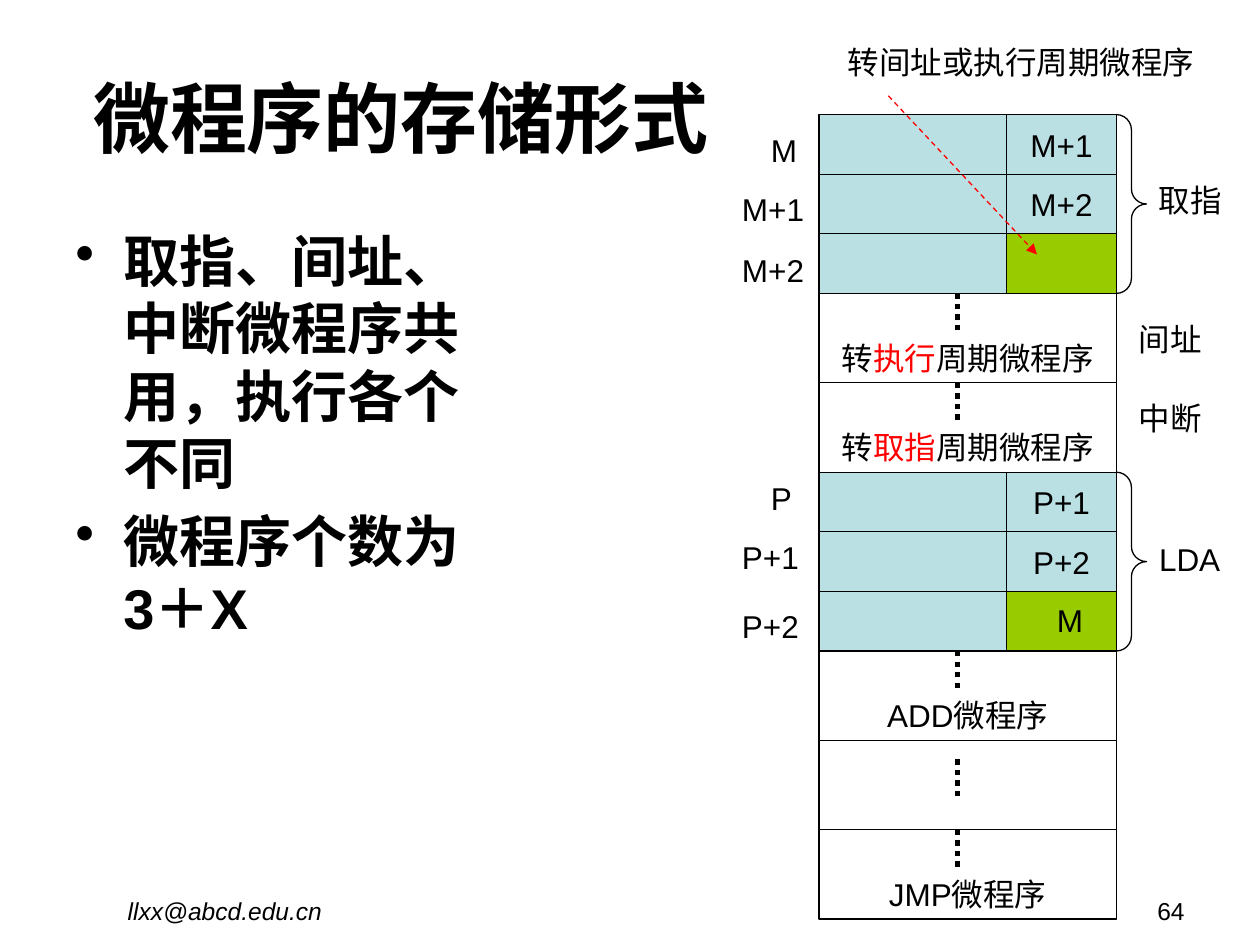
from lxml import etree
from pptx import Presentation
from pptx.dml.color import RGBColor
from pptx.enum.dml import MSO_LINE
from pptx.enum.shapes import MSO_CONNECTOR, MSO_SHAPE
from pptx.enum.text import MSO_ANCHOR, PP_ALIGN
from pptx.oxml.ns import qn
from pptx.util import Inches, Pt

COLORS = {"black": "000000", "red": "FF0000", "blue": "BBE0E3", "green": "99CC00"}


def rgb(name):
    return RGBColor.from_string(COLORS[name])


class SlideBuilder:
    font = "Arial"
    size = 18
    line_width = Pt(0.75)

    def __init__(self, slide):
        self.slide = slide

    def set_text(self, sp, paragraphs, size=None, align=PP_ALIGN.LEFT,
                 anchor=MSO_ANCHOR.TOP, wrap=True, bold=False, italic=False):
        """Each paragraph is a list of (text, color) runs."""
        tf = sp.text_frame
        tf.word_wrap = wrap
        tf.vertical_anchor = anchor
        for i, runs in enumerate(paragraphs):
            p = tf.add_paragraph() if i else tf.paragraphs[0]
            p.alignment = align
            for text, color in runs:
                r = p.add_run()
                r.text = text
                r.font.name = self.font
                r.font.size = Pt(size or self.size)
                r.font.bold = bold
                r.font.italic = italic
                r.font.color.rgb = rgb(color)
        return tf

    def text(self, x, y, w, h, *lines, **style):
        sp = self.slide.shapes.add_textbox(Inches(x), Inches(y), Inches(w), Inches(h))
        return self.set_text(sp, [[(line, "black")] for line in lines], **style)

    def label(self, x, y, text, w):
        self.text(x, y, w, 0.4, text, wrap=False)

    def bullets(self, x, y, w, h, *lines, **style):
        tf = self.text(x, y, w, h, *lines, **style)
        for p in tf.paragraphs:
            p.space_before = Pt(6)
            pPr = p._p.get_or_add_pPr()
            pPr.set("marL", str(Inches(0.38)))
            pPr.set("indent", str(-Inches(0.38)))
            etree.SubElement(pPr, qn("a:buChar")).set("char", "•")

    def shape(self, kind, x, y, w, h, fill=None):
        sp = self.slide.shapes.add_shape(kind, Inches(x), Inches(y), Inches(w), Inches(h))
        sp.shadow.inherit = False
        if fill:
            sp.fill.solid()
            sp.fill.fore_color.rgb = rgb(fill)
        else:
            sp.fill.background()
        sp.line.color.rgb = rgb("black")
        sp.line.width = self.line_width
        return sp

    def cell(self, x, y, w, h, runs=(), fill=None, anchor=MSO_ANCHOR.MIDDLE):
        sp = self.shape(MSO_SHAPE.RECTANGLE, x, y, w, h, fill)
        if runs:
            self.set_text(sp, [runs], align=PP_ALIGN.CENTER, anchor=anchor, wrap=False)

    def brace(self, x, y, w, h):
        sp = self.shape(MSO_SHAPE.RIGHT_BRACE, x, y, w, h)
        sp.adjustments[0] = sp.adjustments[1] = 0.5

    def line(self, x1, y1, x2, y2, color, width, dash, arrow=False):
        cn = self.slide.shapes.add_connector(
            MSO_CONNECTOR.STRAIGHT, Inches(x1), Inches(y1), Inches(x2), Inches(y2))
        cn.line.color.rgb = rgb(color)
        cn.line.width = width
        cn.line.dash_style = dash
        spPr = cn._element.spPr
        if arrow:
            etree.SubElement(spPr.find(qn("a:ln")), qn("a:tailEnd")).set("type", "triangle")
        etree.SubElement(spPr, qn("a:effectLst"))


# Memory map geometry
LEFT, TOP, ROW = 6.5, 0.91, 0.473
OP_W, NEXT_W = 1.49, 0.87
MAP_W = OP_W + NEXT_W
TALL = 1.5 * ROW
RIGHT = LEFT + MAP_W


def routine(s, y, next_addresses):
    """Three microinstructions with their next addresses, closed by a brace."""
    for i, address in enumerate(next_addresses):
        row_y = y + i * ROW
        s.cell(LEFT, row_y, OP_W, ROW, fill="blue")
        s.cell(LEFT + OP_W, row_y, NEXT_W, ROW,
               [(address, "black")] if address else (),
               "blue" if address else "green")
    s.brace(RIGHT, y, 0.24, 3 * ROW)


def block(s, y, runs, dots_offset=0.0):
    """A routine abbreviated to dots and a caption."""
    s.cell(LEFT, y, MAP_W, TALL, runs, anchor=MSO_ANCHOR.BOTTOM)
    dots_y = y + dots_offset
    s.line(7.6, dots_y, 7.6, dots_y + 0.32, "black", Pt(3), MSO_LINE.ROUND_DOT)


def main():
    prs = Presentation()
    prs.slide_width, prs.slide_height = Inches(10), Inches(7.5)
    s = SlideBuilder(prs.slides.add_slide(prs.slide_layouts[6]))

    # Title and bullets
    s.text(0.5, 0.3, 5.37, 1.25, "微程序的存储形式", size=44, bold=True,
           align=PP_ALIGN.CENTER, anchor=MSO_ANCHOR.MIDDLE)
    s.bullets(0.5, 1.75, 3.32, 4.95, "取指、间址、中断微程序共用，执行各个不同",
              "微程序个数为3＋X", size=32, bold=True)

    # Memory map, from top to bottom
    y = TOP
    routine(s, y, ["M+1", "M+2", None])
    y += 3 * ROW
    for target in ("执行", "取指"):
        block(s, y, [("转", "black"), (target, "red"), ("周期微程序", "black")])
        y += TALL
    routine(s, y, ["P+1", "P+2", None])
    y += 3 * ROW
    for caption, offset in (("ADD微程序", 0), (None, 0.15), ("JMP微程序", 0)):
        block(s, y, [(caption, "black")] if caption else (), offset)
        y += TALL

    # Addresses and routine names
    for x, label_y, text, w in (
            (6.02, 0.99, "M", 0.41), (5.79, 1.46, "M+1", 0.69), (5.79, 1.94, "M+2", 0.69),
            (6.02, 3.75, "P", 0.37), (5.79, 4.22, "P+1", 0.65), (5.79, 4.77, "P+2", 0.65),
            (8.29, 4.72, "M", 0.41), (9.1, 1.39, "取指", 0.7), (8.94, 2.49, "间址", 0.7),
            (8.94, 3.12, "中断", 0.7), (9.1, 4.24, "LDA", 0.69)):
        s.label(x, label_y, text, w)

    # Note on the last fetch step
    s.label(6.63, 0.29, "转间址或执行周期微程序", 2.95)
    s.line(7.05, 0.76, 8.23, 2.02, "red", s.line_width, MSO_LINE.DASH, arrow=True)

    # Footer
    s.text(0.2, 7.06, 3.17, 0.29, "llxx@abcd.edu.cn", size=14, italic=True,
           align=PP_ALIGN.CENTER)
    s.text(7.17, 7.06, 2.33, 0.29, "64", size=14, align=PP_ALIGN.RIGHT)

    prs.save("out.pptx")


if __name__ == "__main__":
    main()
